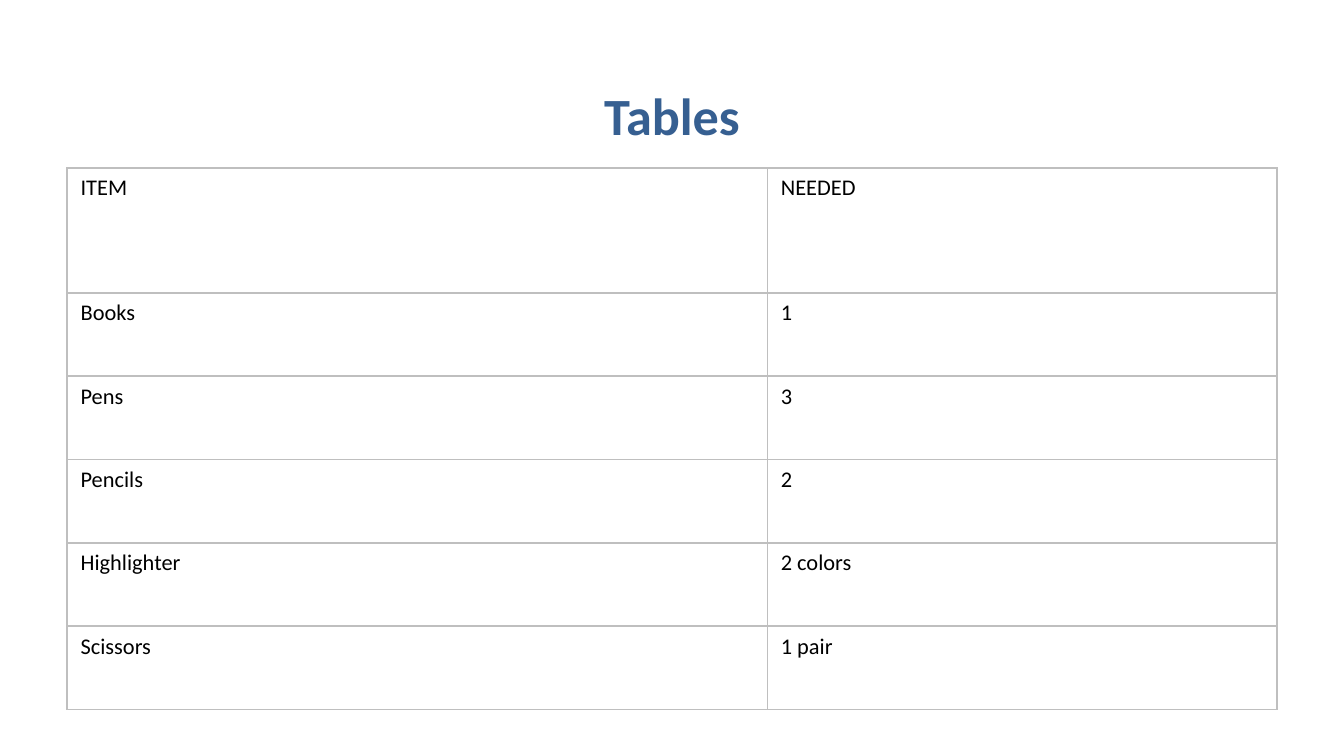
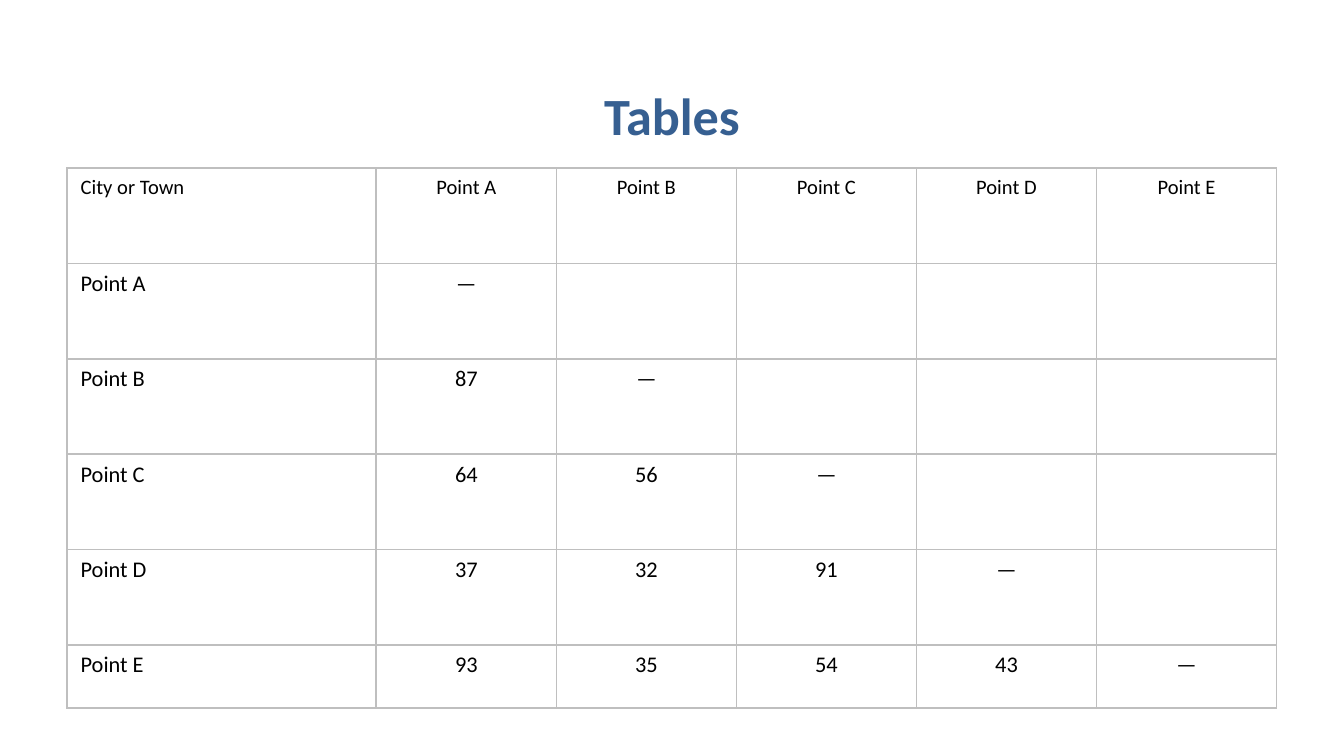
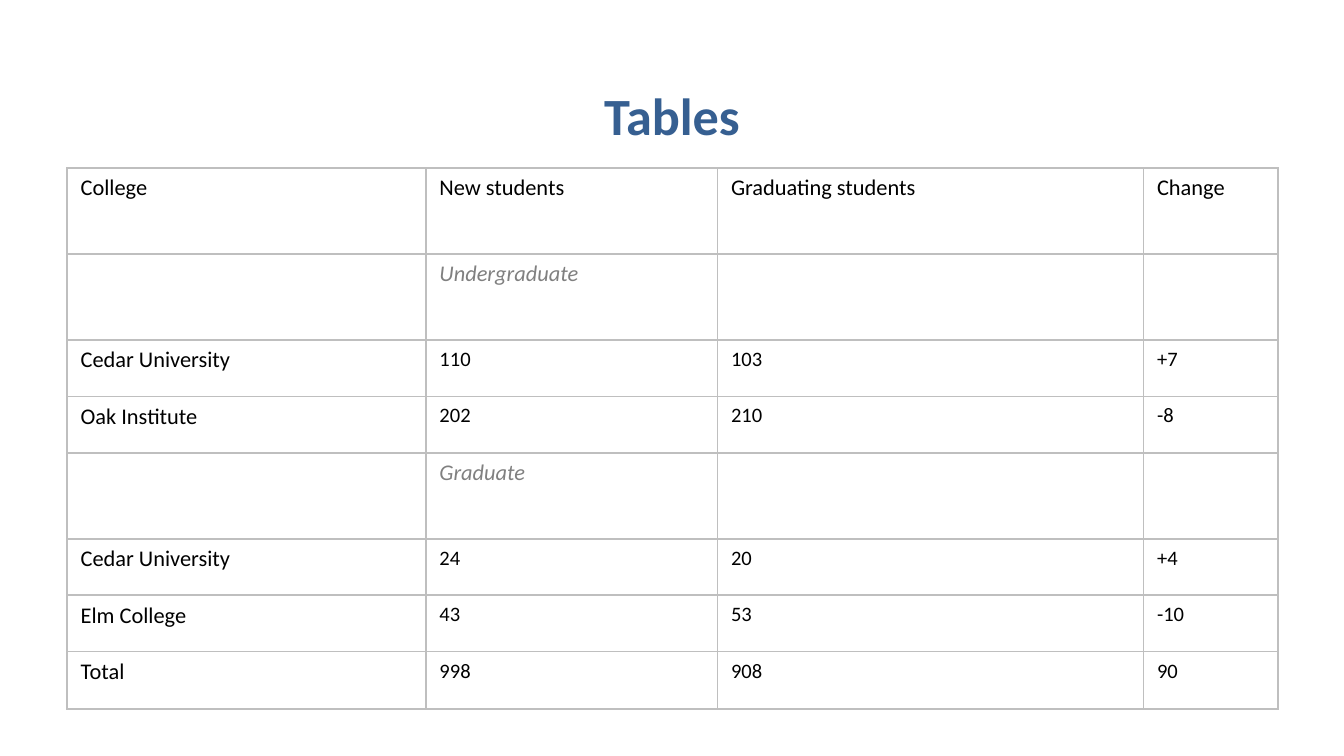
from lxml.etree import SubElement
from pptx import Presentation
from pptx.dml.color import RGBColor
from pptx.enum.text import MSO_ANCHOR, MSO_AUTO_SIZE, PP_ALIGN
from pptx.oxml.ns import qn
from pptx.util import Inches, Pt

FONT = "Calibri"
BLUE, BLACK, GRAY, RULE = "365F91", "000000", "808080", "BFBFBF"
LEFT, WIDTH = 0.5, 9


def style(par, size, color, bold=False, slant=False):
    for run in par.runs:
        font = run.font
        font.name = FONT
        font.size = Pt(size)
        font.bold = bold
        font.italic = slant
        font.color.rgb = RGBColor.from_string(color)


def border(cell):
    props = cell._tc.get_or_add_tcPr()
    for side in ("a:lnL", "a:lnR", "a:lnT", "a:lnB"):
        line = SubElement(props, qn(side), w=str(Pt(1.02)))
        fill = SubElement(line, qn("a:solidFill"))
        SubElement(fill, qn("a:srgbClr"), val=RULE)
    cell.fill.background()


items = [
    ["ITEM", "NEEDED"],
    ["Books", "1"],
    ["Pens", "3"],
    ["Pencils", "2"],
    ["Highlighter", "2 colors"],
    ["Scissors", "1 pair"],
]

points = ["Point A", "Point B", "Point C", "Point D", "Point E"]
miles = [[], ["87"], ["64", "56"], ["37", "32", "91"], ["93", "35", "54", "43"]]
towns = [["City or Town"] + points]
for point, known in zip(points, miles):
    towns.append([point] + known + ["—"])

schools = [
    ["College", "New students", "Graduating students", "Change"],
    ["", "Undergraduate"],
    ["Cedar University", "110", "103", "+7"],
    ["Oak Institute", "202", "210", "-8"],
    ["", "Graduate"],
    ["Cedar University", "24", "20", "+4"],
    ["Elm College", "43", "53", "-10"],
    ["Total", "998", "908", "90"],
]

heads = {(0, c) for c in range(6)}
counts = {(r, c) for r in (2, 3, 5, 6, 7) for c in (1, 2, 3)}

pages = [
    (items, [5.21, 3.79], [0.93] + [0.62] * 5, set(), PP_ALIGN.LEFT),
    (towns, [2.3] + [1.34] * 5, [0.71] * 5 + [0.47], heads, PP_ALIGN.CENTER),
    (schools, [2.67, 2.17, 3.17, 1],
     [0.64, 0.64, 0.42, 0.42, 0.64, 0.42, 0.42, 0.43], counts, PP_ALIGN.LEFT),
]

deck = Presentation()
deck.slide_width = Inches(10)
deck.slide_height = deck.slide_width * 9 // 16

for data, widths, heights, small, align in pages:
    slide = deck.slides.add_slide(deck.slide_layouts[6])

    title = slide.shapes.add_textbox(Inches(LEFT), Inches(0.31), Inches(WIDTH), Inches(0.78))
    frame = title.text_frame
    frame.word_wrap = True
    frame.auto_size = MSO_AUTO_SIZE.SHAPE_TO_FIT_TEXT
    frame.vertical_anchor = MSO_ANCHOR.BOTTOM
    frame.margin_left = frame.margin_right = frame.margin_top = frame.margin_bottom = 0
    frame.text = "Tables"
    frame.paragraphs[0].alignment = PP_ALIGN.CENTER
    style(frame.paragraphs[0], 28, BLUE, bold=True)

    table = slide.shapes.add_table(
        len(heights), len(widths), Inches(LEFT), Inches(1.25),
        Inches(WIDTH), Inches(sum(heights))).table
    table.first_row = False
    table.horz_banding = False
    for column, width in zip(table.columns, widths):
        column.width = Inches(width)
    for row, height in zip(table.rows, heights):
        row.height = Inches(height)
    for cell in table.iter_cells():
        border(cell)

    for r, texts in enumerate(data):
        for c, text in enumerate(texts):
            if not text:
                continue
            frame = table.cell(r, c).text_frame
            frame.text = text
            par = frame.paragraphs[0]
            par.alignment = align if c else PP_ALIGN.LEFT
            group = not texts[0]
            style(par, 11 if (r, c) in small else 12, GRAY if group else BLACK, slant=group)

deck.save("out.pptx")
